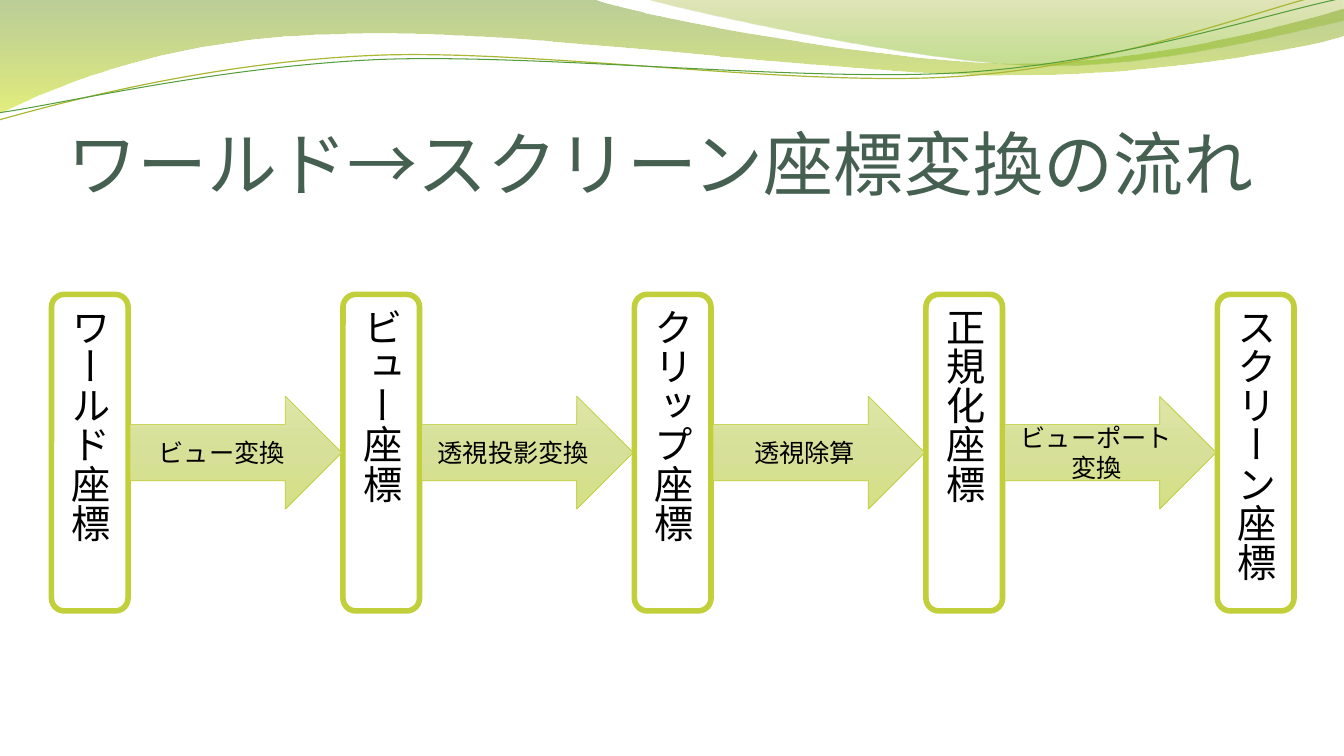
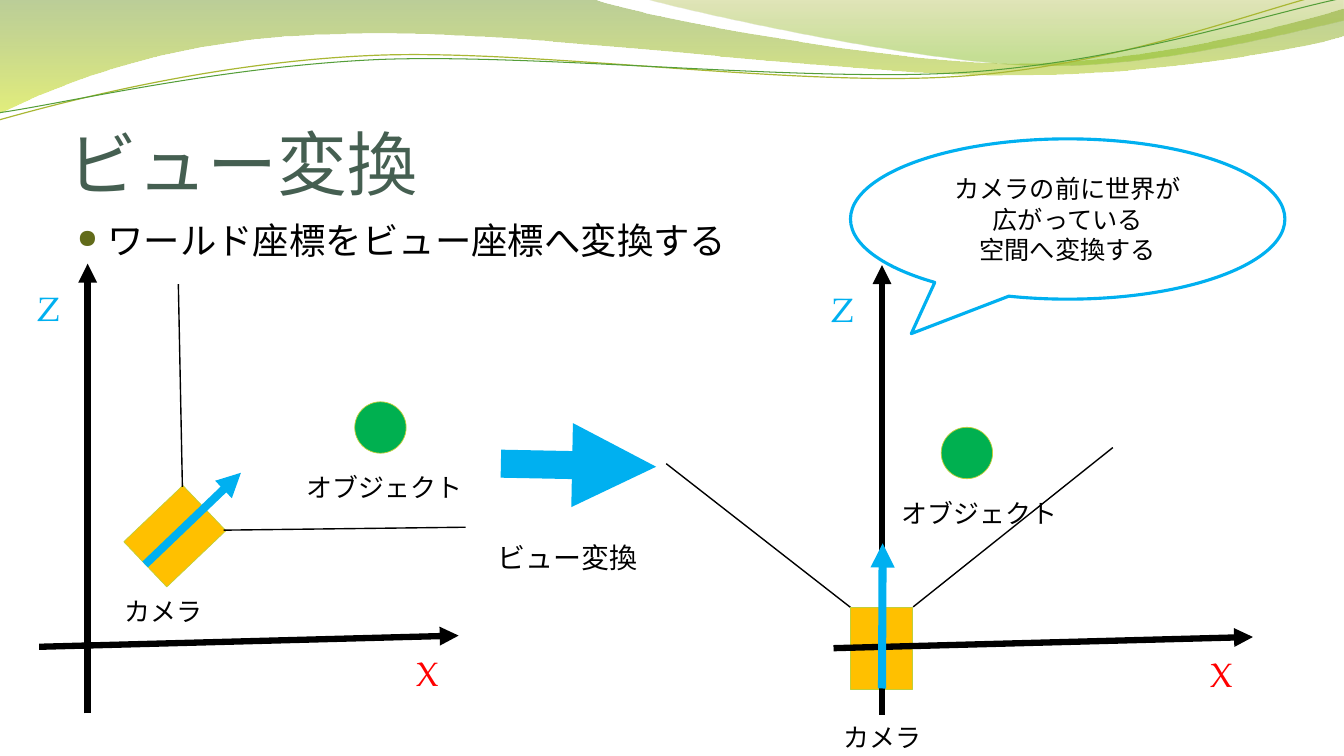
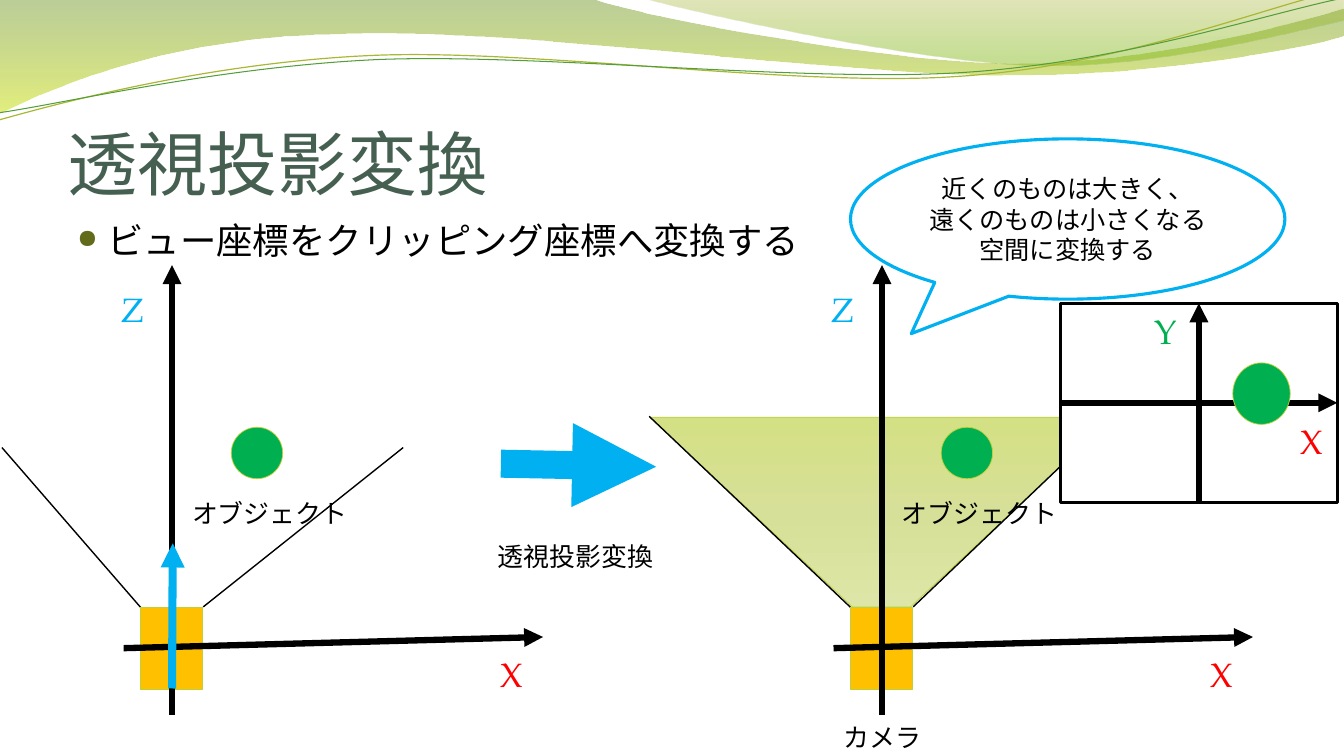
"""Build three slides on the transformation from world to screen coordinates."""
from dataclasses import dataclass

from lxml import etree
from pptx import Presentation
from pptx.dml.color import RGBColor
from pptx.enum.shapes import MSO_CONNECTOR, MSO_SHAPE
from pptx.enum.text import MSO_ANCHOR, MSO_AUTO_SIZE, PP_ALIGN
from pptx.oxml.ns import qn
from pptx.util import Pt

STRAIGHT = MSO_CONNECTOR.STRAIGHT
RECTANGLE, ROUNDED = MSO_SHAPE.RECTANGLE, MSO_SHAPE.ROUNDED_RECTANGLE
OVAL, TRAPEZOID = MSO_SHAPE.OVAL, MSO_SHAPE.TRAPEZOID
RIGHT_ARROW, CALLOUT = MSO_SHAPE.RIGHT_ARROW, MSO_SHAPE.OVAL_CALLOUT
LEFT, CENTER = PP_ALIGN.LEFT, PP_ALIGN.CENTER
TOP, MIDDLE, BOTTOM = MSO_ANCHOR.TOP, MSO_ANCHOR.MIDDLE, MSO_ANCHOR.BOTTOM
NO_AUTOFIT = MSO_AUTO_SIZE.NONE
TOP_SIDE, LEFT_SIDE, BOTTOM_SIDE, RIGHT_SIDE = range(4)


@dataclass(frozen=True)
class Theme:
    """Colours, fonts and type sizes shared by the slides."""

    sans: str = "Noto Sans CJK JP"
    serif: str = "TeX Gyre Pagella"
    title_color: str = "455F51"
    black: str = "000000"
    white: str = "FFFFFF"
    red: str = "FF0000"
    blue: str = "00B0F0"
    green: str = "00B050"
    camera: str = "FFC000"
    lime: str = "C0CF3A"
    bullet: str = "626B1A"
    lime_gradient: tuple = ((0, "DDE6A6", 100), (50, "D7E098", 100), (100, "D4E084", 100))
    band_gradient: tuple = ((0, "69921C", 45), (100, "CCE10F", 55))
    sheen_gradient: tuple = ((0, "9BAA1A", 30), (80, "81BA16", 45))
    outer_curve: str = "A9B733"
    inner_curve: str = "549E39"
    title_size: float = 50
    stage_size: float = 28
    body_size: float = 26
    axis_size: float = 24
    step_size: float = 20
    text_size: float = 18
    text_leading: float = 21.5
    label_size: float = 18.5
    hairline: float = 0.5
    sight_width: float = 1
    axis_width: float = 4.5
    forward_width: float = 5.75
    step_width: float = 20


THEME = Theme()

BAND = ((-1.4, 0), [
    (422.6, -0.7),
    (456.5, 12.2, 636.5, 45.4, 727.9, 45.4),
    (818.6, 45.4, 919.4, 18.7, 959.8, 6.5),
    (960.5, 25.9),
    (943.9, 31.7, 834.5, 54.7, 715.7, 54),
    (596.9, 54, 366.5, 20.2, 247, 24.5),
    (123.1, 25.9, 43.9, 59.8, -1.4, 81.4),
])
SHEEN = ((459.4, -0.7), [
    (488.9, 7.9, 654.5, 44.6, 738, 46.8),
    (820.8, 49.7, 923, 23, 959.8, 15.1),
    (959.8, 0),
])
OUTER_CURVE = ((-2.3, 63.1), [
    (44.4, 52.3, 151.4, 29.2, 266, 29.6),
    (379.8, 29.9, 567, 66.8, 682.5, 64.3),
    (798.5, 62.6, 901.9, 25.7, 959.4, 15.5),
])
INNER_CURVE = ((-2, 57.9), [
    (43.6, 53.7, 157.2, 32.3, 271.6, 32.7),
    (386.9, 33.8, 572.2, 63.4, 687, 61.6),
    (801.6, 59.8, 904.6, 30, 961.4, 21.2),
])


def rgb(color):
    """Return the colour object for a hex string."""
    return RGBColor.from_string(color)


def paint(shape, fill=None, line=None, width=THEME.hairline):
    """Set a plain, graded or empty fill and an outline, without shadow."""
    shape.shadow.inherit = False
    if fill is None:
        shape.fill.background()
    elif isinstance(fill, str):
        shape.fill.solid()
        shape.fill.fore_color.rgb = rgb(fill)
    else:
        shape.fill.gradient()
        shape.fill.gradient_angle = 270
        stops = shape.element.spPr.find(".//" + qn("a:gsLst"))
        for stop in list(stops):
            stops.remove(stop)
        for position, color, opacity in fill:
            stop = etree.SubElement(stops, qn("a:gs"), pos=str(position * 1000))
            tint = etree.SubElement(stop, qn("a:srgbClr"), val=color)
            if opacity < 100:
                etree.SubElement(tint, qn("a:alpha"), val=str(opacity * 1000))
    if line is None:
        shape.line.fill.background()
    else:
        shape.line.color.rgb = rgb(line)
        shape.line.width = Pt(width)


def write(shape, text, size, color=THEME.black, font=THEME.sans, align=LEFT, anchor=TOP,
          leading=None):
    """Fill a shape with text in one style and return its frame."""
    frame = shape.text_frame
    frame.text = text
    frame.word_wrap = True
    frame.auto_size = NO_AUTOFIT
    frame.vertical_anchor = anchor
    for paragraph in frame.paragraphs:
        paragraph.alignment = align
        if leading:
            paragraph.line_spacing = Pt(leading)
        for run in paragraph.runs:
            run.font.size = Pt(size)
            run.font.color.rgb = rgb(color)
            run.font.name = font
            etree.SubElement(run.font._element, qn("a:ea"), typeface=THEME.sans)
    return frame


def write_centered(shape, text):
    """Centre small text in a shape."""
    write(shape, text, THEME.text_size, font=THEME.serif, align=CENTER, anchor=MIDDLE,
          leading=THEME.text_leading)


def add_shape(slide, kind, box, fill=None, line=THEME.lime, width=THEME.hairline):
    """Add a painted preset shape."""
    shape = slide.shapes.add_shape(kind, *map(Pt, box))
    paint(shape, fill, line, width)
    return shape


def add_text(slide, box, text, size, **style):
    """Add a text box and return its frame."""
    return write(slide.shapes.add_textbox(*map(Pt, box)), text, size, **style)


def add_line(slide, start, end, color=THEME.black, width=THEME.sight_width, arrow=False):
    """Add a straight line, with an arrowhead at its end if asked."""
    line = slide.shapes.add_connector(STRAIGHT, *map(Pt, (*start, *end)))
    line.line.color.rgb = rgb(color)
    line.line.width = Pt(width)
    properties = line.element.spPr
    if arrow:
        etree.SubElement(properties.find(qn("a:ln")), qn("a:tailEnd"), type="triangle")
    etree.SubElement(properties, qn("a:effectLst"))
    return line


def add_curve(slide, start, segments, close):
    """Add an outline of line segments and cubic curves."""
    groups = [list(zip(segment[::2], segment[1::2])) for segment in segments]
    points = [(Pt(x), Pt(y)) for group in groups for x, y in group]
    builder = slide.shapes.build_freeform(Pt(start[0]), Pt(start[1]), scale=1.0)
    builder.add_line_segments(points, close=close)
    curve = builder.convert_to_shape()
    strokes = iter(curve.element.spPr.findall(".//" + qn("a:lnTo")))
    for group in groups:
        members = [next(strokes) for _ in group]
        if len(members) == 3:
            bend = etree.Element(qn("a:cubicBezTo"))
            members[0].addprevious(bend)
            for member in members:
                bend.append(member[0])
                member.getparent().remove(member)
    return curve


def add_waves(slide):
    """Draw the waves at the top and hand them to the shared layout."""
    waves = (
        (BAND, THEME.band_gradient, None, 0, 0),
        (SHEEN, THEME.sheen_gradient, None, 0, 0),
        (OUTER_CURVE, None, THEME.outer_curve, 0.85, 357.3),
        (INNER_CURVE, None, THEME.inner_curve, 0.75, 357.3),
    )
    for index, (outline, fill, line, width, rotation) in enumerate(waves):
        wave = add_curve(slide, *outline, close=fill is not None)
        paint(wave, fill, line, width)
        wave.rotation = rotation
        wave.element.nvSpPr.cNvPr.id = 100 + index
        slide.slide_layout.shapes.element.insert(2 + index, wave.element)


def add_slide(deck, title):
    """Add a slide with its title."""
    slide = deck.slides.add_slide(deck.slide_layouts[5])
    heading = slide.shapes.title
    heading.left, heading.top, heading.width, heading.height = map(Pt, (48, 55.4, 864, 90))
    frame = write(heading, title, THEME.title_size, THEME.title_color, anchor=BOTTOM)
    frame.margin_left = frame.margin_right = frame.margin_bottom = 0
    frame.paragraphs[0].line_spacing = 0.8
    return slide


def add_summary(slide, text):
    """Add the bulleted sentence below the title."""
    frame = add_text(slide, (48, 152.6, 864, 342), text, THEME.body_size)
    properties = frame.paragraphs[0]._p.get_or_add_pPr()
    properties.set("marL", str(Pt(21.6)))
    properties.set("indent", str(-Pt(21.6)))
    color = etree.SubElement(properties, qn("a:buClr"))
    etree.SubElement(color, qn("a:srgbClr"), val=THEME.bullet)
    etree.SubElement(properties, qn("a:buSzPct"), val="72000")
    etree.SubElement(properties, qn("a:buChar"), char="●")


def add_axis_name(slide, left, top, name, color):
    """Add the letter of an axis."""
    add_text(slide, (left, top, 33.8, 36), name, THEME.axis_size, color=color, font=THEME.serif)


def add_axes(slide, x, y=463):
    """Draw the X and Z axes crossing near the given point."""
    for start, end in (((x, y + 47.5), (x, y - 273.6)), ((x - 34.6, y), (x + 265, y - 8))):
        add_line(slide, start, end, width=THEME.axis_width, arrow=True)
    add_axis_name(slide, x + 227.5, y + 0.7, "X", THEME.red)
    add_axis_name(slide, x - 43.2, y - 260, "Z", THEME.blue)


def add_camera(slide, x, y=463, rotation=270):
    """Draw the camera body around its centre."""
    width, height = 58.3, 44.6
    camera = add_shape(slide, RECTANGLE, (x - width / 2, y - height / 2, width, height), THEME.camera)
    camera.rotation = rotation


def add_camera_name(slide, left, top):
    """Label the camera."""
    add_text(slide, (left, top, 84.2, 27.4), "カメラ", THEME.label_size)


def add_object(slide, left, top, name_left):
    """Draw the observed object with its label below."""
    add_shape(slide, OVAL, (left, top, 36.7, 36.7), THEME.green)
    add_text(slide, (name_left, top + 46.5, 131, 27.4), "オブジェクト", THEME.label_size)


def add_forward(slide, start, end):
    """Draw the viewing direction of the camera."""
    add_line(slide, start, end, THEME.blue, THEME.forward_width, True)


def add_camera_space(slide, x, left_end, right_end, forward=True):
    """Draw a scene whose origin is the camera."""
    add_line(slide, (x - 22.3, 434), left_end)
    add_line(slide, (x + 22.3, 433.5), right_end)
    add_camera(slide, x - 0.3)
    add_axes(slide, x)
    add_object(slide, x + 42.3, 305.2, x + 7.2)
    if forward:
        add_forward(slide, (x, 491.8), (x + 0.5, 388.1))


def add_step(slide, name, size):
    """Draw the thick arrow between two scenes with its label."""
    add_line(slide, (357.8, 331.2), (468.7, 333.4), THEME.blue, THEME.step_width, True)
    add_text(slide, (348.5, 382.7, 134.6, 36), name, size)


def add_callout(slide, text):
    """Add the speech bubble above the right scene."""
    bubble = add_shape(slide, CALLOUT, (607.5, 99.2, 310.3, 114.5), THEME.white, THEME.blue, 2.25)
    bubble.adjustments[0], bubble.adjustments[1] = -0.36, 0.715
    write_centered(bubble, text)


def add_screen(slide):
    """Draw the projected picture with its X and Y axes."""
    screen = add_shape(slide, RECTANGLE, (757.6, 216.7, 197.6, 142), THEME.white, THEME.black, 2)
    for start_side, end_side in ((BOTTOM_SIDE, TOP_SIDE), (LEFT_SIDE, RIGHT_SIDE)):
        axis = add_line(slide, (0, 0), (0, 0), width=THEME.axis_width, arrow=True)
        axis.begin_connect(screen, start_side)
        axis.end_connect(screen, end_side)
    add_axis_name(slide, 922, 297.4, "X", THEME.red)
    add_shape(slide, OVAL, (880.6, 259.2, 41, 43.9), THEME.green)
    add_axis_name(slide, 817.9, 218.9, "Y", THEME.green)


def fill_flow(slide):
    """Draw the coordinate systems and the transformations between them."""
    stages = ("ワールド座標", "ビュー座標", "クリップ座標", "正規化座標", "スクリーン座標")
    steps = ("ビュー変換", "透視投影変換", "透視除算", "ビューポート変換")
    left, pitch, width = 36.8, 208.2, 54.7
    for index, name in enumerate(stages):
        stage = add_shape(slide, ROUNDED, (left + index * pitch, 210.3, width, 226.1), width=4)
        frame = write(stage, name, THEME.stage_size, font=THEME.serif, align=CENTER, anchor=MIDDLE)
        frame._txBody.bodyPr.set("vert", "eaVert")
    for index, name in enumerate(steps):
        box = (left + width + 1.4 + index * pitch, 283, pitch - width - 2.3, 80.6)
        step = add_shape(slide, RIGHT_ARROW, box, THEME.lime_gradient)
        write_centered(step, name)


def fill_view(slide):
    """Show the world scene beside the view scene."""
    add_summary(slide, "ワールド座標をビュー座標へ変換する")
    add_axes(slide, 62.6, 462)
    add_camera(slide, 124.9, 383, 316.4)
    add_forward(slide, (103.7, 403.2), (172.1, 337.7))
    add_camera_name(slide, 82, 422)
    add_line(slide, (130.3, 347.8), (127.4, 203))
    add_line(slide, (159.8, 378.7), (332.6, 376.6))
    add_object(slide, 253.4, 287, 212.1)
    add_step(slide, "ビュー変換", THEME.step_size)
    add_camera_space(slide, 630, (475.9, 331.2), (794.9, 319.7))
    add_camera_name(slide, 595.4, 512)
    add_callout(slide, "カメラの前に世界が\n広がっている\n空間へ変換する")


def fill_projection(slide):
    """Show the view scene beside the projected scene."""
    add_summary(slide, "ビュー座標をクリッピング座標へ変換する")
    frustum = add_shape(slide, TRAPEZOID, (464.4, 298.1, 330.5, 135.4), THEME.lime_gradient)
    frustum.adjustments[0] = 1.067
    frustum.rotation = 180
    add_camera_space(slide, 122.9, (1.4, 319.7), (288, 319.7))
    add_step(slide, "透視投影変換", THEME.label_size)
    add_camera_space(slide, 630, (463.7, 297.4), (794.9, 297.4), forward=False)
    add_camera_name(slide, 595.4, 512)
    add_callout(slide, "近くのものは大きく、\n遠くのものは小さくなる\n空間に変換する")
    add_screen(slide)


def main():
    """Build and save the deck."""
    deck = Presentation()
    deck.slide_width, deck.slide_height = Pt(960), Pt(540)
    flow = add_slide(deck, "ワールド→スクリーン座標変換の流れ")
    add_waves(flow)
    fill_flow(flow)
    fill_view(add_slide(deck, "ビュー変換"))
    fill_projection(add_slide(deck, "透視投影変換"))
    deck.save("out.pptx")


if __name__ == "__main__":
    main()
